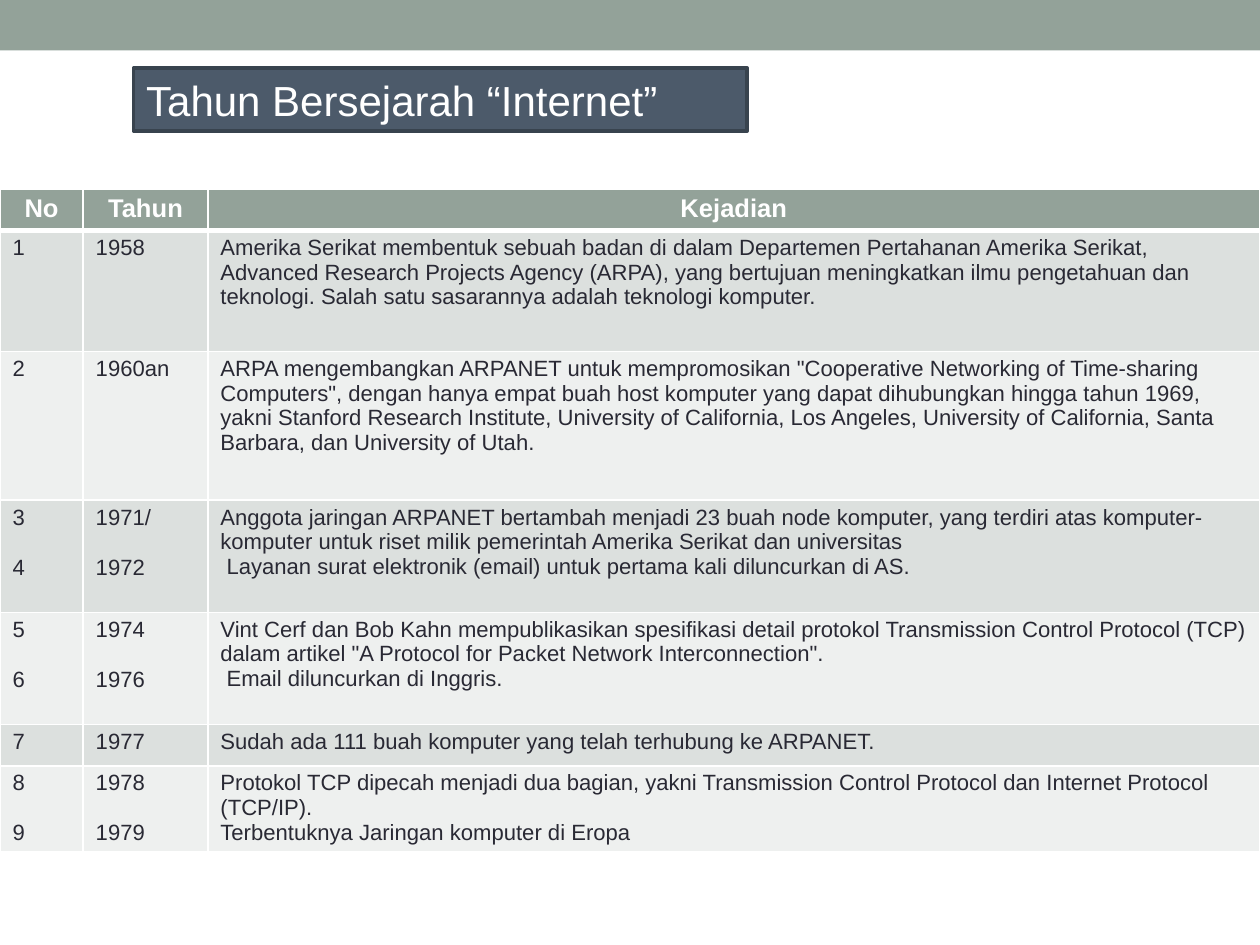
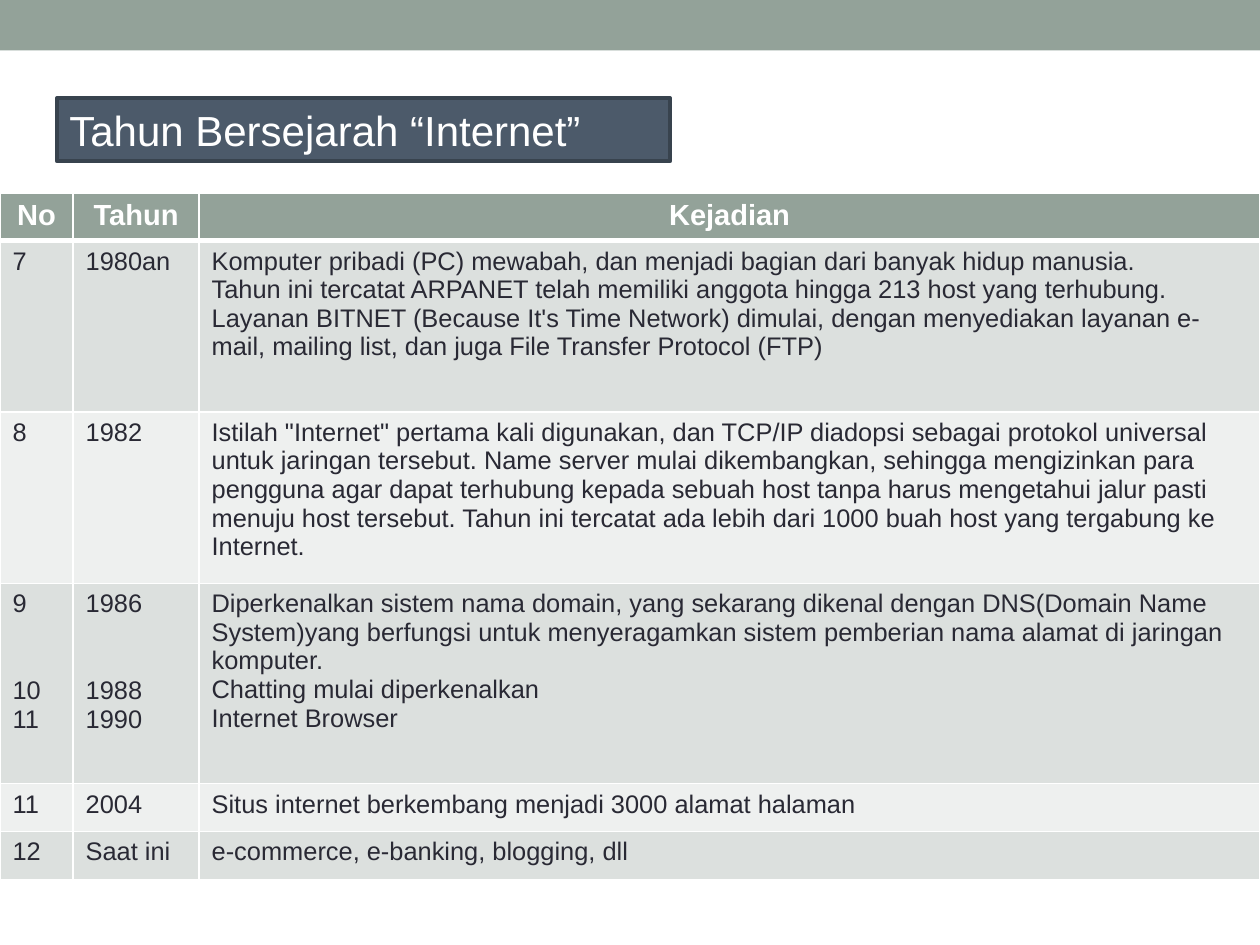
from lxml import etree
from pptx import Presentation
from pptx.dml.color import RGBColor
from pptx.enum.shapes import MSO_SHAPE
from pptx.enum.text import MSO_ANCHOR, MSO_AUTO_SIZE, PP_ALIGN
from pptx.oxml.ns import qn
from pptx.util import Inches, Pt

RECTANGLE = MSO_SHAPE.RECTANGLE
MIDDLE = MSO_ANCHOR.MIDDLE
NO_AUTOFIT = MSO_AUTO_SIZE.NONE
LEFT, CENTER = PP_ALIGN.LEFT, PP_ALIGN.CENTER

# Shared look
FONT = "Arial"
SAGE, SLATE, SLATE_EDGE = "93A299", "4C5A6A", "38434E"
INK, WHITE = "292934", "FFFFFF"
STRIPES = ["DCE0DE", "EEF0EF"]
TITLE = "Tahun Bersejarah “Internet”"
HEADINGS = ["No", "Tahun", "Kejadian"]
LINE_SPACING = 1.15  # height of one text line, as a multiple of its font size


def paint(target, color):
    """Give a fill a solid colour, or a font its colour."""
    if hasattr(target, "solid"):
        target.solid()
        target.fore_color.rgb = RGBColor.from_string(color)
    else:
        target.color.rgb = RGBColor.from_string(color)


def add_borders(cell, widths):
    """Draw white borders; widths maps L, R, T, B to points."""
    properties = cell._tc.get_or_add_tcPr()
    for side, width in widths.items():
        line = etree.SubElement(properties, qn("a:ln" + side), w=str(Pt(width)))
        solid = etree.SubElement(line, qn("a:solidFill"))
        etree.SubElement(solid, qn("a:srgbClr"), val=WHITE)


# Each row: height, numbers, years, events, blank lines left above the second number
pages = [
    {
        "title_at": (1.06, 0.54), "table_top": 1.5, "columns": [0.66, 0.99, 8.35],
        "header_height": 0.33, "header_size": 14.6, "body_size": 12.6, "margin": 0.04,
        "rows": [
            (0.96, "1", "1958",
             "Amerika Serikat membentuk sebuah badan di dalam Departemen Pertahanan Amerika "
             "Serikat, Advanced Research Projects Agency (ARPA), yang bertujuan meningkatkan "
             "ilmu pengetahuan dan teknologi. Salah satu sasarannya adalah teknologi komputer.", 0),
            (1.18, "2", "1960an",
             "ARPA mengembangkan ARPANET untuk mempromosikan \"Cooperative Networking of "
             "Time-sharing Computers\", dengan hanya empat buah host komputer yang dapat "
             "dihubungkan hingga tahun 1969, yakni Stanford Research Institute, University of "
             "California, Los Angeles, University of California, Santa Barbara, dan University "
             "of Utah.", 0),
            (0.89, "3\n4", "1971/\n1972",
             "Anggota jaringan ARPANET bertambah menjadi 23 buah node komputer, yang terdiri "
             "atas komputer-komputer untuk riset milik pemerintah Amerika Serikat dan "
             "universitas\n Layanan surat elektronik (email) untuk pertama kali diluncurkan "
             "di AS.", 1),
            (0.89, "5\n6", "1974\n1976",
             "Vint Cerf dan Bob Kahn mempublikasikan spesifikasi detail protokol Transmission "
             "Control Protocol (TCP) dalam artikel \"A Protocol for Packet Network "
             "Interconnection\".\n Email diluncurkan di Inggris.", 1),
            (0.33, "7", "1977",
             "Sudah ada 111 buah komputer yang telah terhubung ke ARPANET.", 0),
            (0.68, "8\n9", "1978\n1979",
             "Protokol TCP dipecah menjadi dua bagian, yakni Transmission Control Protocol dan "
             "Internet Protocol (TCP/IP).\nTerbentuknya Jaringan komputer di Eropa", 1),
        ],
    },
    {
        "title_at": (0.45, 0.78), "table_top": 1.53, "columns": [0.58, 1, 8.42],
        "header_height": 0.38, "header_size": 16.6, "body_size": 14.5, "margin": 0.05,
        "rows": [
            (1.36, "7", "1980an",
             "Komputer pribadi (PC) mewabah, dan menjadi bagian dari banyak hidup manusia.\v"
             "Tahun ini tercatat ARPANET telah memiliki anggota hingga 213 host yang "
             "terhubung.\vLayanan BITNET (Because It's Time Network) dimulai, dengan "
             "menyediakan layanan e-mail, mailing list, dan juga File Transfer Protocol (FTP)", 0),
            (1.36, "8", "1982",
             "Istilah \"Internet\" pertama kali digunakan, dan TCP/IP diadopsi sebagai protokol "
             "universal untuk jaringan tersebut. Name server mulai dikembangkan, sehingga "
             "mengizinkan para pengguna agar dapat terhubung kepada sebuah host tanpa harus "
             "mengetahui jalur pasti menuju host tersebut. Tahun ini tercatat ada lebih dari "
             "1000 buah host yang tergabung ke Internet.", 0),
            (1.59, "9\n10\n11", "1986\n1988\n1990",
             "Diperkenalkan sistem nama domain, yang sekarang dikenal dengan DNS(Domain Name "
             "System)yang berfungsi untuk menyeragamkan sistem pemberian nama alamat di "
             "jaringan komputer.\nChatting mulai diperkenalkan\nInternet Browser", 2),
            (0.38, "11", "2004", "Situs internet berkembang menjadi 3000 alamat halaman", 0),
            (0.38, "12", "Saat ini", "e-commerce, e-banking, blogging, dll", 0),
        ],
    },
]

deck = Presentation()
deck.slide_width, deck.slide_height = Inches(10), Inches(7.5)
title_only = deck.slide_layouts[5]

for number, page in enumerate(pages):
    slide = deck.slides.add_slide(title_only)

    # Top band, moved to the layout so that every slide shares it
    if number == 0:
        band = slide.shapes.add_shape(RECTANGLE, 0, 0, deck.slide_width, Inches(0.4))
        band.shadow.inherit = False
        paint(band.fill, SAGE)
        band.line.fill.background()
        title_only.element.cSld.spTree.insert(2, band.element)

    # Title box
    title = slide.shapes.title
    title.left, title.top = (Inches(side) for side in page["title_at"])
    title.width, title.height = Inches(4.87), Inches(0.5)
    paint(title.fill, SLATE)
    paint(title.line.fill, SLATE_EDGE)
    title.line.width = Pt(2.08)
    title.text_frame.text = TITLE
    title.text_frame.auto_size = NO_AUTOFIT
    title.text_frame.vertical_anchor = MIDDLE
    heading = title.text_frame.paragraphs[0]
    heading.alignment = LEFT
    heading.runs[0].font.name = FONT
    heading.runs[0].font.size = Pt(24)
    paint(heading.runs[0].font, WHITE)

    # Timeline table
    rows = [(page["header_height"], *HEADINGS, 0)] + page["rows"]
    total_height = sum(row[0] for row in rows)
    timeline = slide.shapes.add_table(
        len(rows), len(HEADINGS), 0, Inches(page["table_top"]),
        deck.slide_width, Inches(total_height)).table
    timeline.horz_banding = False
    for column, width in zip(timeline.columns, page["columns"]):
        column.width = Inches(width)

    for r, (height, *texts, gap) in enumerate(rows):
        timeline.rows[r].height = Inches(height)
        is_header = r == 0
        size = page["header_size"] if is_header else page["body_size"]
        for c, text in enumerate(texts):
            cell = timeline.cell(r, c)
            add_borders(cell, {"L": 1, "R": 1, "T": 3 if r == 1 else 1,
                               "B": 3 if is_header else 1})
            paint(cell.fill, SAGE if is_header else STRIPES[(r - 1) % 2])
            cell.margin_left = cell.margin_right = Inches(0.1)
            cell.margin_top = cell.margin_bottom = Inches(page["margin"])
            cell.text_frame.text = text
            for p, paragraph in enumerate(cell.text_frame.paragraphs):
                paragraph.alignment = CENTER if is_header else LEFT
                if p == 1 and c < 2:
                    paragraph.space_before = Pt(round(gap * size * LINE_SPACING, 1))
                for run in paragraph.runs:
                    run.font.name = FONT
                    run.font.size = Pt(size)
                    run.font.bold = is_header
                    paint(run.font, WHITE if is_header else INK)

deck.save("out.pptx")
